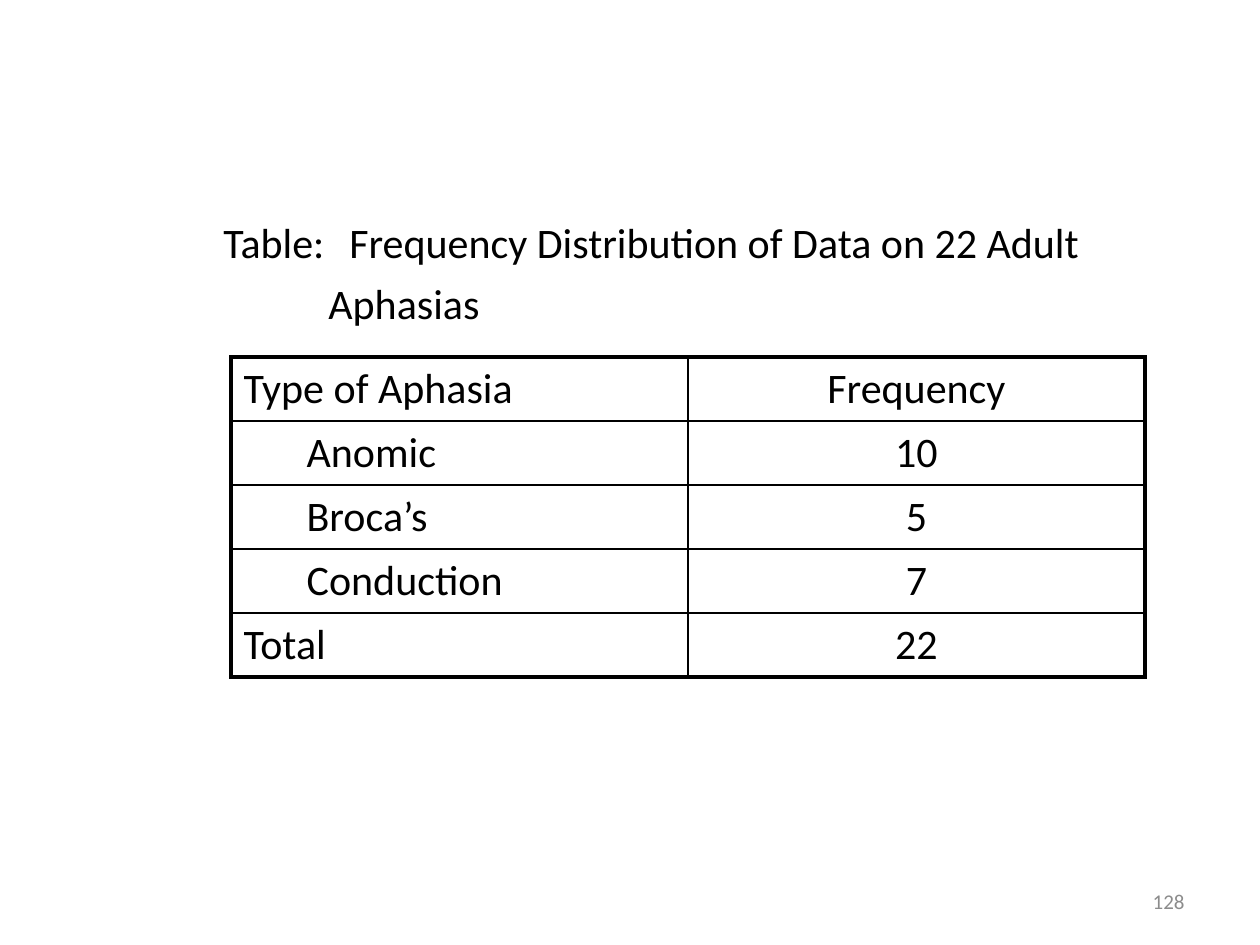
from lxml import etree
from pptx import Presentation
from pptx.dml.color import RGBColor
from pptx.enum.text import MSO_ANCHOR, PP_ALIGN
from pptx.oxml.ns import qn
from pptx.util import Pt

EMU_PER_PX = 914400 / 126
LEFT, CENTER, RIGHT = PP_ALIGN.LEFT, PP_ALIGN.CENTER, PP_ALIGN.RIGHT
TOP, MIDDLE = MSO_ANCHOR.TOP, MSO_ANCHOR.MIDDLE
FONT = "Calibri"
BLACK, GRAY = "000000", "8C8C8C"
OUTER_LINE, INNER_LINE = 2.25, 1
FREQUENCIES = [
    ("Type of Aphasia", "Frequency", 0),
    ("Anomic", "10", 63),
    ("Broca’s", "5", 63),
    ("Conduction", "7", 63),
    ("Total", "22", 0),
]


def px(length):
    return round(length * EMU_PER_PX)


def color(value):
    return RGBColor.from_string(value)


def write(paragraph, text, size=24, fill=BLACK, align=LEFT, indent=0, tab=None, before=0):
    properties = paragraph._p.get_or_add_pPr()
    properties.set("marL", str(px(indent)))
    properties.set("indent", "0")
    if tab:
        tabs = etree.SubElement(properties, qn("a:tabLst"))
        etree.SubElement(tabs, qn("a:tab"), pos=str(px(tab)), algn="l")
    paragraph.alignment = align
    paragraph.space_before = Pt(before)
    run = paragraph.add_run()
    run.text = text
    run.font.name = FONT
    run.font.size = Pt(size)
    run.font.color.rgb = color(fill)


def add_text_frame(slide, box, anchor=TOP):
    frame = slide.shapes.add_textbox(*map(px, box)).text_frame
    frame.word_wrap = True
    frame.vertical_anchor = anchor
    return frame


def add_caption(slide, box):
    frame = add_text_frame(slide, box)
    write(frame.paragraphs[0], "Table:\tFrequency Distribution of Data on 22 Adult", tab=121)
    write(frame.add_paragraph(), "Aphasias", indent=105, before=6)


def set_borders(cell, widths):
    properties = cell._tc.get_or_add_tcPr()
    for side, width in widths.items():
        line = etree.SubElement(properties, qn(f"a:ln{side}"), w=str(Pt(width)))
        fill = etree.SubElement(line, qn("a:solidFill"))
        etree.SubElement(fill, qn("a:srgbClr"), val=BLACK)


def add_frequency_table(slide, box):
    rows, columns = len(FREQUENCIES), 2
    table = slide.shapes.add_table(rows, columns, *map(px, box)).table
    table.first_row = table.horz_banding = False
    for row, (label, frequency, indent) in enumerate(FREQUENCIES):
        write(table.cell(row, 0).text_frame.paragraphs[0], label, indent=indent)
        write(table.cell(row, 1).text_frame.paragraphs[0], frequency, align=CENTER)
        for column in range(columns):
            cell = table.cell(row, column)
            edges = {
                "L": column == 0,
                "R": column == columns - 1,
                "T": row == 0,
                "B": row == rows - 1,
            }
            set_borders(cell, {side: OUTER_LINE if outer else INNER_LINE
                               for side, outer in edges.items()})
            cell.fill.background()


def add_page_number(slide, box):
    frame = add_text_frame(slide, box, anchor=MIDDLE)
    write(frame.paragraphs[0], "128", size=12, fill=GRAY, align=RIGHT)


def main():
    presentation = Presentation()
    presentation.slide_width, presentation.slide_height = px(1260), px(945)
    slide = presentation.slides.add_slide(presentation.slide_layouts[6])
    add_frequency_table(slide, (231, 357, 914, 320))
    add_caption(slide, (211, 210, 923, 105))
    add_page_number(slide, (903, 876, 294, 50))
    presentation.save("out.pptx")


if __name__ == "__main__":
    main()
